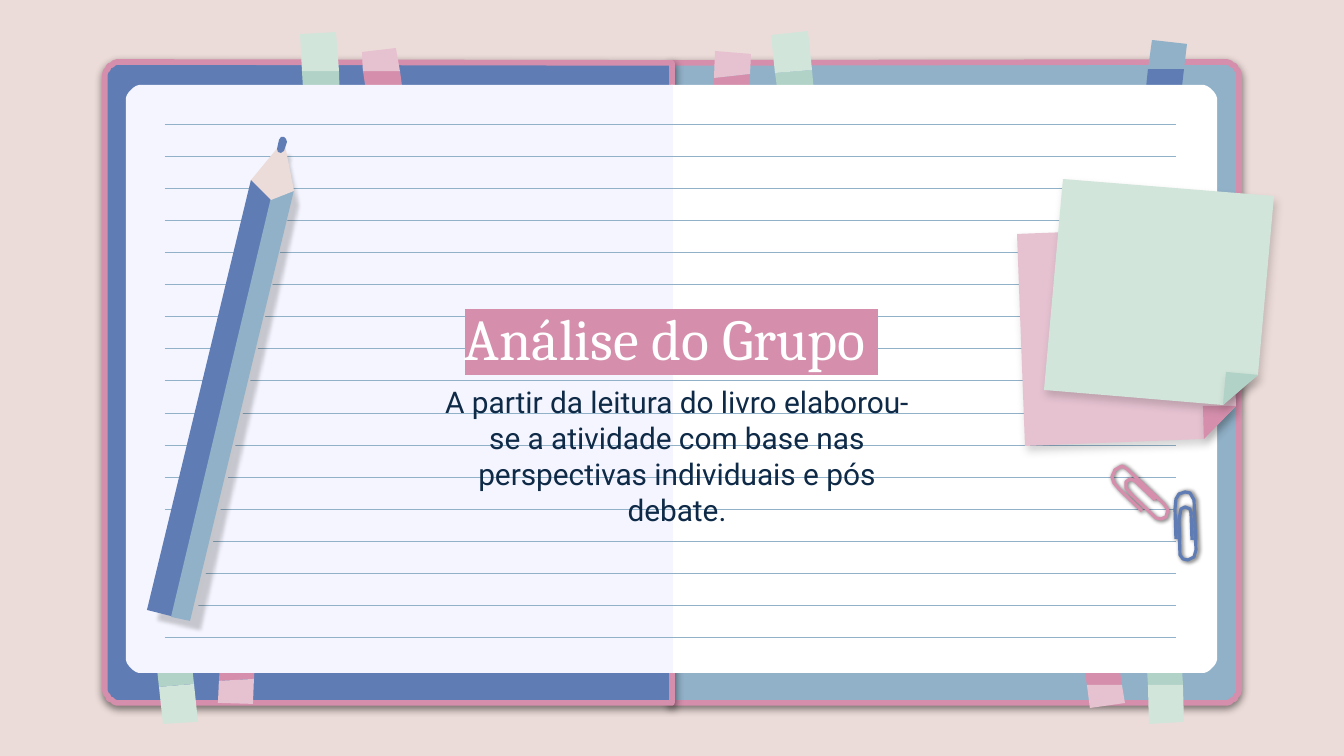
from dataclasses import dataclass
from math import cos, pi, sin
from typing import Optional

from lxml.etree import SubElement
from pptx import Presentation
from pptx.dml.color import RGBColor
from pptx.enum.shapes import MSO_CONNECTOR
from pptx.enum.text import MSO_ANCHOR, PP_ALIGN
from pptx.oxml.ns import qn
from pptx.util import Emu, Pt

EMU_PER_PX = 914400 / 134.4
Point = tuple[int, int]


@dataclass(frozen=True)
class Theme:
    """Colours, fonts and sizes of the slide."""
    desk: str = "ECDCD9"
    blue: str = "5F7DB4"
    sky: str = "91B1C8"
    rose: str = "D58FAC"
    pink: str = "E6C2D1"
    mint: str = "D2E5DB"
    sage: str = "B1D2C7"
    white: str = "FFFFFF"
    lilac: str = "F5F5FF"
    grey: str = "C4C6CB"
    ink: str = "0E2A47"
    title_font: str = "Cambria"
    body_font: str = "Roboto"
    title_size: int = 31
    body_size: int = 16
    cover_line: float = 3
    rule_line: float = 0.42
    wire_line: float = 1.7


@dataclass(frozen=True)
class Shadow:
    """Outer shadow: opacity in percent, blur and distance in points, angle."""
    opacity: int
    blur: float
    distance: float
    angle: int


@dataclass(frozen=True)
class Half:
    """One half of the notebook, rounded on the side away from the spine."""
    spine: int
    edge: int
    top: int
    spine_top: int
    bottom: int
    radius: int
    fill: str
    border: Optional[str] = None
    shadow: Optional[Shadow] = None


@dataclass(frozen=True)
class Tape:
    """Folded tape: left and right point of its outer end, fold and inner end."""
    outer: tuple[Point, Point]
    fold: tuple[Point, Point]
    inner: tuple[Point, Point]
    outer_fill: str
    inner_fill: str


@dataclass(frozen=True)
class Patch:
    """A filled polygon."""
    points: list[Point]
    fill: str
    shadow: Optional[Shadow] = None


@dataclass(frozen=True)
class Clip:
    """A paper clip bent from one wire."""
    wire: list[Point]
    colour: str


T = Theme()
COVER_SHADOW = Shadow(50, 4.5, 1.5, 90)
NOTE_SHADOW = Shadow(16, 4.5, 3, 67)
PENCIL_SHADOW = Shadow(19, 2.2, 6, 60)
CLIP_SHADOW = Shadow(61, 2.2, 0.8, 17)

COVERS = [
    Half(671, 1239, 62, 63, 703, 15, T.sky, T.rose, COVER_SHADOW),
    Half(672, 105, 62, 63, 703, 15, T.blue, T.rose, COVER_SHADOW),
]
PAGES = [
    Half(671, 1217, 85, 85, 673, 16, T.white),
    Half(673, 126, 85, 85, 673, 16, T.lilac),
]
GREEN, PINK = (T.mint, T.sage), (T.pink, T.rose)
TAPES = [
    Tape(((1152, 40), (1187, 44)), ((1148, 69), (1184, 69)), ((1140, 145), (1175, 149)), T.sky, T.blue),
    Tape(((1090, 708), (1125, 703)), ((1087, 685), (1122, 685)), ((1075, 605), (1110, 601)), *PINK),
    Tape(((1149, 724), (1184, 722)), ((1148, 685), (1183, 685)), ((1144, 621), (1179, 618)), *GREEN),
    Tape(((163, 724), (198, 722)), ((159, 687), (194, 684)), ((152, 622), (187, 618)), *GREEN),
    Tape(((218, 703), (253, 704)), ((219, 681), (254, 679)), ((223, 599), (258, 601)), *PINK),
    Tape(((362, 52), (396, 48)), ((363, 71), (400, 71)), ((376, 157), (411, 152)), *PINK),
    Tape(((300, 34), (336, 32)), ((302, 71), (339, 71)), ((306, 138), (341, 137)), *GREEN),
    Tape(((771, 35), (808, 31)), ((775, 73), (812, 70)), ((784, 138), (818, 136)), *GREEN),
    Tape(((715, 51), (751, 54)), ((714, 78), (750, 74)), ((710, 156), (746, 159)), *PINK),
]
PINK_NOTE = [
    Patch([(1230, 226), (1017, 234), (1025, 446), (1204, 439), (1236, 406)], T.pink, NOTE_SHADOW),
    Patch([(1236, 406), (1203, 406), (1204, 439)], T.rose, NOTE_SHADOW),
]
GREEN_NOTE = [
    Patch([(1274, 196), (1063, 179), (1044, 390), (1223, 405), (1258, 375)], T.mint, NOTE_SHADOW),
    Patch([(1258, 375), (1226, 372), (1223, 405)], T.sage, NOTE_SHADOW),
]
PENCIL = [
    Patch([(250, 187), (152, 610), (195, 620), (293, 196), (284, 155), (285, 149), (282, 145),
           (278, 148), (277, 153)], T.grey, PENCIL_SHADOW),
    Patch([(251, 180), (147, 610), (175, 617), (280, 187)], T.blue),
    Patch([(274, 185), (171, 617), (190, 621), (294, 190)], T.sky),
    Patch([(251, 180), (271, 200), (294, 191), (284, 140)], T.desk),
    Patch([(279, 140), (277, 149), (278, 152), (281, 153), (284, 151), (287, 142), (286, 139),
           (284, 137), (281, 137)], T.blue),
]
CLIPS = [
    Clip([(1142, 511), (1120, 490), (1114, 483), (1112, 477), (1115, 470), (1122, 466), (1127, 469),
          (1164, 504), (1168, 510), (1166, 517), (1161, 519), (1156, 518), (1132, 495), (1126, 488),
          (1126, 482), (1130, 479), (1135, 481), (1155, 500)], T.rose),
    Clip([(1176, 539), (1175, 509), (1176, 499), (1179, 494), (1185, 492), (1190, 493), (1194, 500),
          (1196, 550), (1194, 557), (1188, 560), (1183, 559), (1180, 555), (1179, 520), (1181, 509),
          (1185, 507), (1190, 509), (1191, 513), (1192, 540)], T.blue),
]


def px(length: float) -> Emu:
    """Turn pixels into EMU."""
    return Emu(round(length * EMU_PER_PX))


def add_outline(slide, points, *, fill=None, line=None, width=1.0, shadow=None, close=True) -> None:
    """Draw a polygon or an open polyline through the points."""
    builder = slide.shapes.build_freeform(*points[0], scale=EMU_PER_PX)
    builder.add_line_segments(points[1:], close=close)
    outline = builder.convert_to_shape()
    if fill:
        outline.fill.solid()
        outline.fill.fore_color.rgb = RGBColor.from_string(fill)
    else:
        outline.fill.background()
    if line:
        outline.line.color.rgb = RGBColor.from_string(line)
        outline.line.width = Pt(width)
    else:
        outline.line.fill.background()
    outline.shadow.inherit = False
    if shadow:
        effects = outline._element.spPr.find(qn("a:effectLst"))
        outer = SubElement(effects, qn("a:outerShdw"), blurRad=str(Pt(shadow.blur)), dist=str(Pt(shadow.distance)),
                           dir=str(shadow.angle * 60000), algn="bl", rotWithShape="0")
        black = SubElement(outer, qn("a:srgbClr"), val="000000")
        SubElement(black, qn("a:alpha"), val=str(shadow.opacity * 1000))


def add_half(slide, half: Half) -> None:
    """Draw one half of the cover or of the pages."""
    side = 1 if half.edge > half.spine else -1
    centre_x = half.edge - side * half.radius
    points = [(half.spine, half.spine_top)]
    for centre_y, start in ((half.top + half.radius, -pi / 2), (half.bottom - half.radius, 0)):
        for step in range(9):
            angle = start + step * pi / 16
            points.append((centre_x + side * half.radius * cos(angle), centre_y + half.radius * sin(angle)))
    points.append((half.spine, half.bottom))
    add_outline(slide, points, fill=half.fill, line=half.border, width=T.cover_line, shadow=half.shadow)


def add_tape(slide, tape: Tape) -> None:
    """Draw both parts of a tape."""
    for end, fill in ((tape.inner, tape.inner_fill), (tape.outer, tape.outer_fill)):
        add_outline(slide, [*end, *reversed(tape.fold)], fill=fill)


def add_patches(slide, patches: list[Patch]) -> None:
    """Draw polygons from back to front."""
    for patch in patches:
        add_outline(slide, patch.points, fill=patch.fill, shadow=patch.shadow)


def add_rule(slide, y: int) -> None:
    """Draw one writing line across both pages."""
    rule = slide.shapes.add_connector(MSO_CONNECTOR.STRAIGHT, px(165), px(y), px(1176), px(y))
    rule.line.color.rgb = RGBColor.from_string(T.sky)
    rule.line.width = Pt(T.rule_line)
    SubElement(rule._element.spPr, qn("a:effectLst"))


def add_text(slide, text: str, *, box, font, size, colour, highlight=None) -> None:
    """Write centred text in the box, optionally highlighted."""
    frame = slide.shapes.add_textbox(*map(px, box)).text_frame
    frame.word_wrap = True
    frame.vertical_anchor = MSO_ANCHOR.MIDDLE
    frame.margin_left = frame.margin_right = frame.margin_top = frame.margin_bottom = px(13)
    paragraph = frame.paragraphs[0]
    paragraph.alignment = PP_ALIGN.CENTER
    run = paragraph.add_run()
    run.text = text
    run.font.name = font
    run.font.size = Pt(size)
    run.font.color.rgb = RGBColor.from_string(colour)
    if highlight:
        properties = run._r.get_or_add_rPr()
        marker = SubElement(properties, qn("a:highlight"))
        SubElement(marker, qn("a:srgbClr"), val=highlight)
        properties.find(qn("a:latin")).addprevious(marker)


def main() -> None:
    """Build and save the slide."""
    deck = Presentation()
    deck.slide_width, deck.slide_height = px(1344), px(756)
    slide = deck.slides.add_slide(deck.slide_layouts[6])
    slide.background.fill.solid()
    slide.background.fill.fore_color.rgb = RGBColor.from_string(T.desk)
    for cover in COVERS:
        add_half(slide, cover)
    for tape in TAPES:
        add_tape(slide, tape)
    for page in PAGES:
        add_half(slide, page)
    for row in range(17):
        add_rule(slide, 124 + round(row * 513 / 16))
    add_text(slide, "Análise do Grupo ", box=(363, 285, 617, 105), font=T.title_font,
             size=T.title_size, colour=T.white, highlight=T.rose)
    add_text(slide, "A partir da leitura do livro elaborou-se a atividade com base nas "
             "perspectivas individuais e pós debate.", box=(429, 403, 496, 105),
             font=T.body_font, size=T.body_size, colour=T.ink)
    add_patches(slide, PINK_NOTE + PENCIL)
    for clip in CLIPS:
        add_outline(slide, clip.wire, line=clip.colour, width=T.wire_line, shadow=CLIP_SHADOW, close=False)
    add_patches(slide, GREEN_NOTE)
    deck.save("out.pptx")


main()
